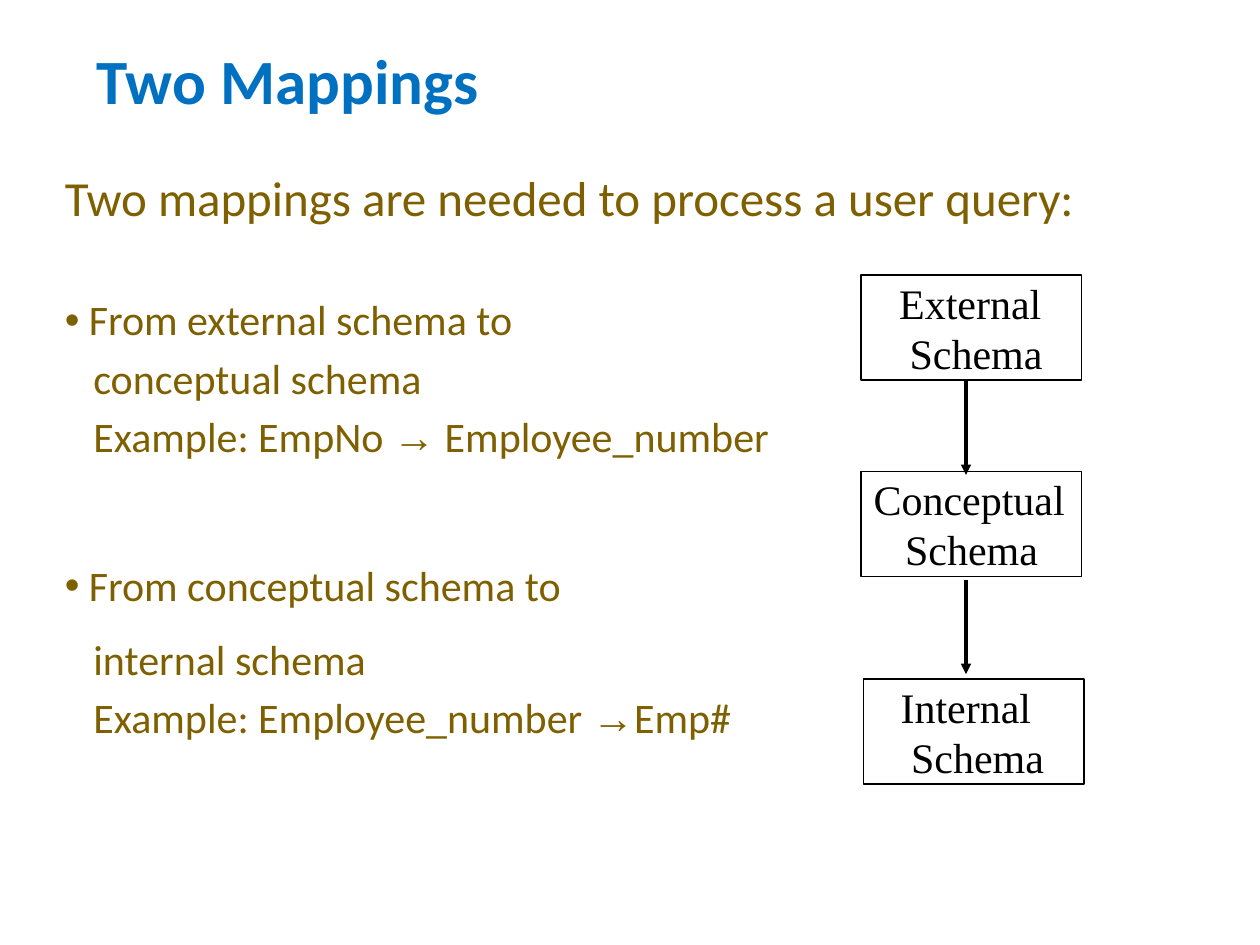
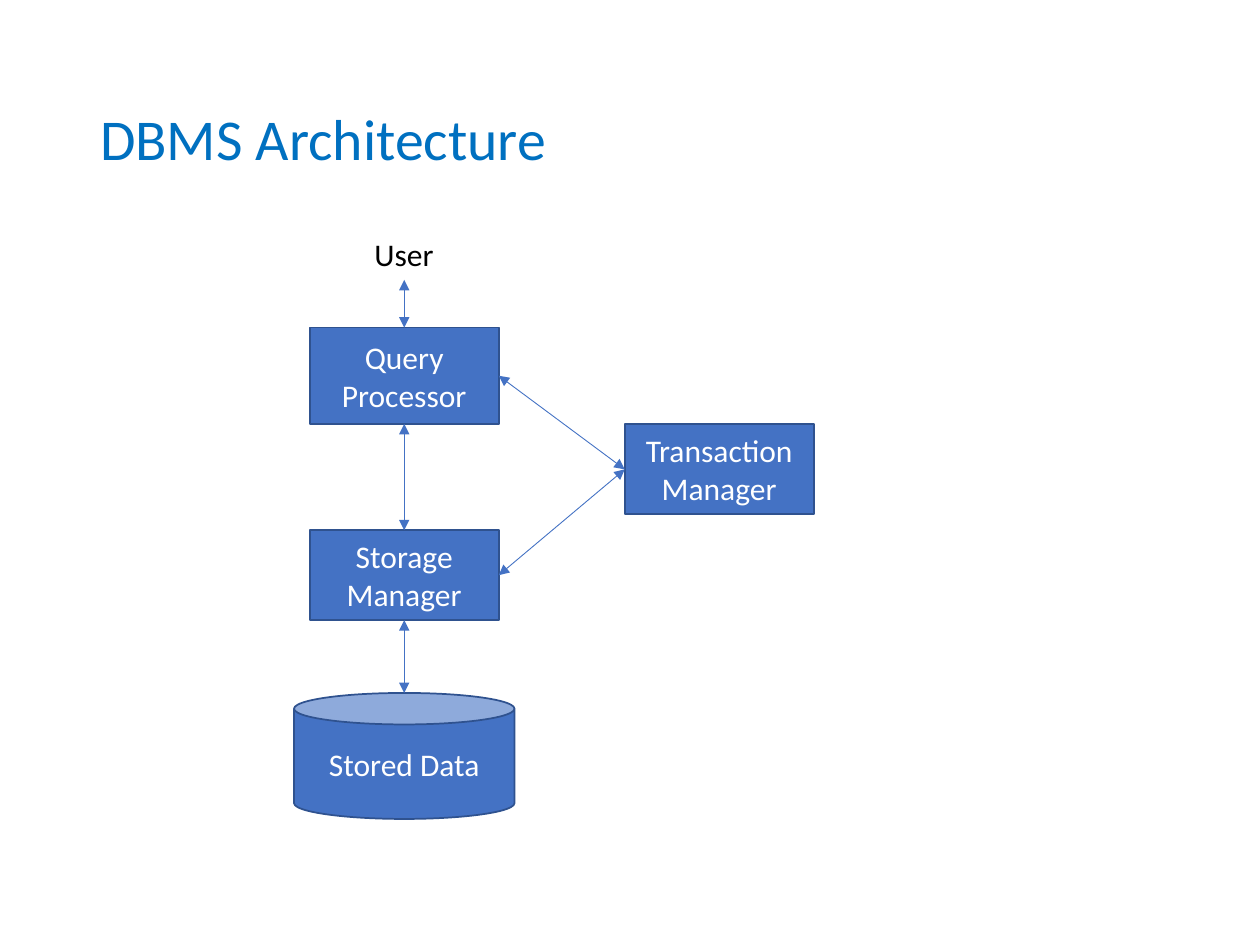
"""Builds two slides on database schema mappings and DBMS architecture."""
from dataclasses import dataclass

from lxml.etree import SubElement
from pptx import Presentation
from pptx.dml.color import RGBColor as Color
from pptx.enum.shapes import MSO_CONNECTOR as Connector, MSO_SHAPE as Shape
from pptx.enum.text import MSO_ANCHOR as Anchor, MSO_AUTO_SIZE as AutoSize, PP_ALIGN as Align
from pptx.oxml.ns import qn
from pptx.util import Pt


@dataclass(frozen=True)
class Theme:
    title: str = "0070C0"
    body: str = "7F6000"
    ink: str = "000000"
    light: str = "FFFFFF"
    block: str = "4472C4"
    block_edge: str = "2F528F"
    sans: str = "Calibri"
    serif: str = "Times New Roman"
    symbol: str = "Arial"
    lead_size: int = 28
    text_size: int = 24
    label_size: int = 18


THEME = Theme()
SIDES = {"top": 0, "left": 1, "bottom": 2, "right": 3}

MAPPINGS_TITLE = ("Two Mappings", (48, 18, 612, 60), 36, True)
ARCHITECTURE_TITLE = ("DBMS Architecture", (50, 29, 621, 104), 33, False)

BODY_AREA = (30, 96, 654, 426)
BULLET_INDENT, DETAIL_INDENT = 13.7, 16.3
BODY = [
    # kind, line spacing, space before, text
    ("lead", 0.9, 7.5, "Two mappings are needed to process a user query:"),
    ("bullet", 0.9, 41.4, "From external schema to"),
    ("detail", 0.9, 7.5, "conceptual schema"),
    ("detail", 0.9, 7.5, "Example: EmpNo → Employee_number"),
    ("bullet", 1.2, 50.1, "From conceptual schema to"),
    ("detail", 1.2, 7.5, "internal schema"),
    ("detail", 0.9, 7.5, "Example: Employee_number →Emp#"),
]

SCHEMA_SIZE = (126, 60)
SCHEMAS = [
    # left, top, lines with their indents
    (492, 157.2, [("External", 21.8), ("Schema", 27.8)]),
    (492, 269.3, [("Conceptual", 7.2), ("Schema", 25.2)]),
    (493.4, 388, [("Internal", 21.2), ("Schema", 27.2)]),
]
MAPPING_X, MAPPING_LENGTH = 552, 54
MAPPING_TOPS = [217.4, 331.2]

COMPONENTS = {
    "Query": (["Query Processor"], Shape.RECTANGLE, (177, 187.2, 108, 55)),
    "Storage": (["Storage", "Manager"], Shape.RECTANGLE, (177, 303, 108, 51.4)),
    "Transaction": (["Transaction", "Manager"], Shape.RECTANGLE, (357, 242.4, 108, 51.6)),
    "Data": (["Stored Data"], Shape.CAN, (168, 396, 126, 72)),
}
USER_AREA = (206.9, 131, 48.2, 29)
LINKS = [
    ("Query", "bottom", "Storage", "top"),
    ("Storage", "bottom", "Data", "top"),
    ("User", "bottom", "Query", "top"),
    ("Query", "right", "Transaction", "left"),
    ("Transaction", "left", "Storage", "right"),
]


def points(values):
    return [Pt(value) for value in values]


def apply(target, values):
    for name, value in values.items():
        setattr(target, name, value)


def add_span(para, text, size, color, font=THEME.sans, bold=False):
    span = para.add_run()
    span.text = text
    apply(span.font, {"size": Pt(size), "name": font, "bold": bold})
    span.font.color.rgb = Color.from_string(color)


def next_para(frame, index):
    return frame.add_paragraph() if index else frame.paragraphs[0]


def set_indent(para, left, first=0):
    properties = para._p.get_or_add_pPr()
    properties.set("marL", str(Pt(left)))
    properties.set("indent", str(Pt(first)))
    return properties


def add_page(deck, title):
    text, area, size, bold = title
    page = deck.slides.add_slide(deck.slide_layouts[5])
    holder = page.shapes.title
    apply(holder, dict(zip(("left", "top", "width", "height"), points(area))))
    apply(holder.text_frame, {"vertical_anchor": Anchor.MIDDLE, "word_wrap": True,
                              "auto_size": AutoSize.NONE})
    para = holder.text_frame.paragraphs[0]
    apply(para, {"alignment": Align.LEFT, "line_spacing": 0.9})
    add_span(para, text, size, THEME.title, bold=bold)
    return page


def add_box(page, kind, area, edge, weight, fill=None):
    box = page.shapes.add_shape(kind, *points(area))
    box.shadow.inherit = False
    if fill:
        box.fill.solid()
        box.fill.fore_color.rgb = Color.from_string(fill)
    else:
        box.fill.background()
    box.line.color.rgb = Color.from_string(edge)
    box.line.width = Pt(weight)
    apply(box.text_frame, {"word_wrap": True, "vertical_anchor": Anchor.MIDDLE})
    return box


def add_arrow(page, start, end, color, weight, ends):
    arrow = page.shapes.add_connector(Connector.STRAIGHT, *start, *end)
    arrow.line.color.rgb = Color.from_string(color)
    arrow.line.width = Pt(weight)
    for end_name in ends:
        SubElement(arrow.line._get_or_add_ln(), qn(f"a:{end_name}"), type="triangle")
    SubElement(arrow._element.spPr, qn("a:effectLst"))
    return arrow


def add_body(page):
    frame = page.shapes.add_textbox(*points(BODY_AREA)).text_frame
    frame.word_wrap = True
    for index, (kind, spacing, before, text) in enumerate(BODY):
        para = next_para(frame, index)
        apply(para, {"line_spacing": spacing, "space_before": Pt(before)})
        if kind == "bullet":
            properties = set_indent(para, BULLET_INDENT, -BULLET_INDENT)
            color = SubElement(properties, qn("a:buClr"))
            SubElement(color, qn("a:srgbClr"), val=THEME.body)
            SubElement(properties, qn("a:buFont"), typeface=THEME.symbol)
            SubElement(properties, qn("a:buChar"), char="•")
        elif kind == "detail":
            set_indent(para, DETAIL_INDENT)
        size = THEME.lead_size if kind == "lead" else THEME.text_size
        for piece in filter(None, text.partition("→")):
            font = THEME.symbol if piece == "→" else THEME.sans
            add_span(para, piece, size, THEME.body, font)


def build_mappings(deck):
    page = add_page(deck, MAPPINGS_TITLE)
    add_body(page)
    for left, top, lines in SCHEMAS:
        box = add_box(page, Shape.RECTANGLE, (left, top, *SCHEMA_SIZE), THEME.ink, 0.75)
        margins = ("margin_left", "margin_top", "margin_right", "margin_bottom")
        apply(box.text_frame, dict.fromkeys(margins, 0))
        for index, (text, indent) in enumerate(lines):
            para = next_para(box.text_frame, index)
            para.alignment = Align.LEFT
            set_indent(para, indent)
            add_span(para, text, THEME.text_size, THEME.ink, THEME.serif)
    for top in MAPPING_TOPS:
        add_arrow(page, points((MAPPING_X, top)), points((MAPPING_X, top + MAPPING_LENGTH)),
                  THEME.ink, 1.75, ["tailEnd"])


def side_middle(box, side):
    across = {"left": 0, "right": box.width}.get(side, box.width // 2)
    down = {"top": 0, "bottom": box.height}.get(side, box.height // 2)
    return box.left + across, box.top + down


def build_architecture(deck):
    page = add_page(deck, ARCHITECTURE_TITLE)
    user = page.shapes.add_textbox(*points(USER_AREA))
    user.text_frame.word_wrap = False
    add_span(user.text_frame.paragraphs[0], "User", THEME.label_size, THEME.ink)
    boxes = {"User": user}
    for name, (lines, kind, area) in COMPONENTS.items():
        box = boxes[name] = add_box(page, kind, area, THEME.block_edge, 1, THEME.block)
        for index, text in enumerate(lines):
            para = next_para(box.text_frame, index)
            para.alignment = Align.CENTER
            add_span(para, text, THEME.label_size, THEME.light)
    for source, source_side, target, target_side in LINKS:
        start, end = boxes[source], boxes[target]
        arrow = add_arrow(page, side_middle(start, source_side), side_middle(end, target_side),
                          THEME.block, 0.5, ["headEnd", "tailEnd"])
        arrow.begin_connect(start, SIDES[source_side])
        if target != "Data":
            arrow.end_connect(end, SIDES[target_side])


def main():
    deck = Presentation()
    apply(deck, {"slide_width": Pt(720), "slide_height": Pt(540)})
    build_mappings(deck)
    build_architecture(deck)
    deck.save("out.pptx")


if __name__ == "__main__":
    main()
